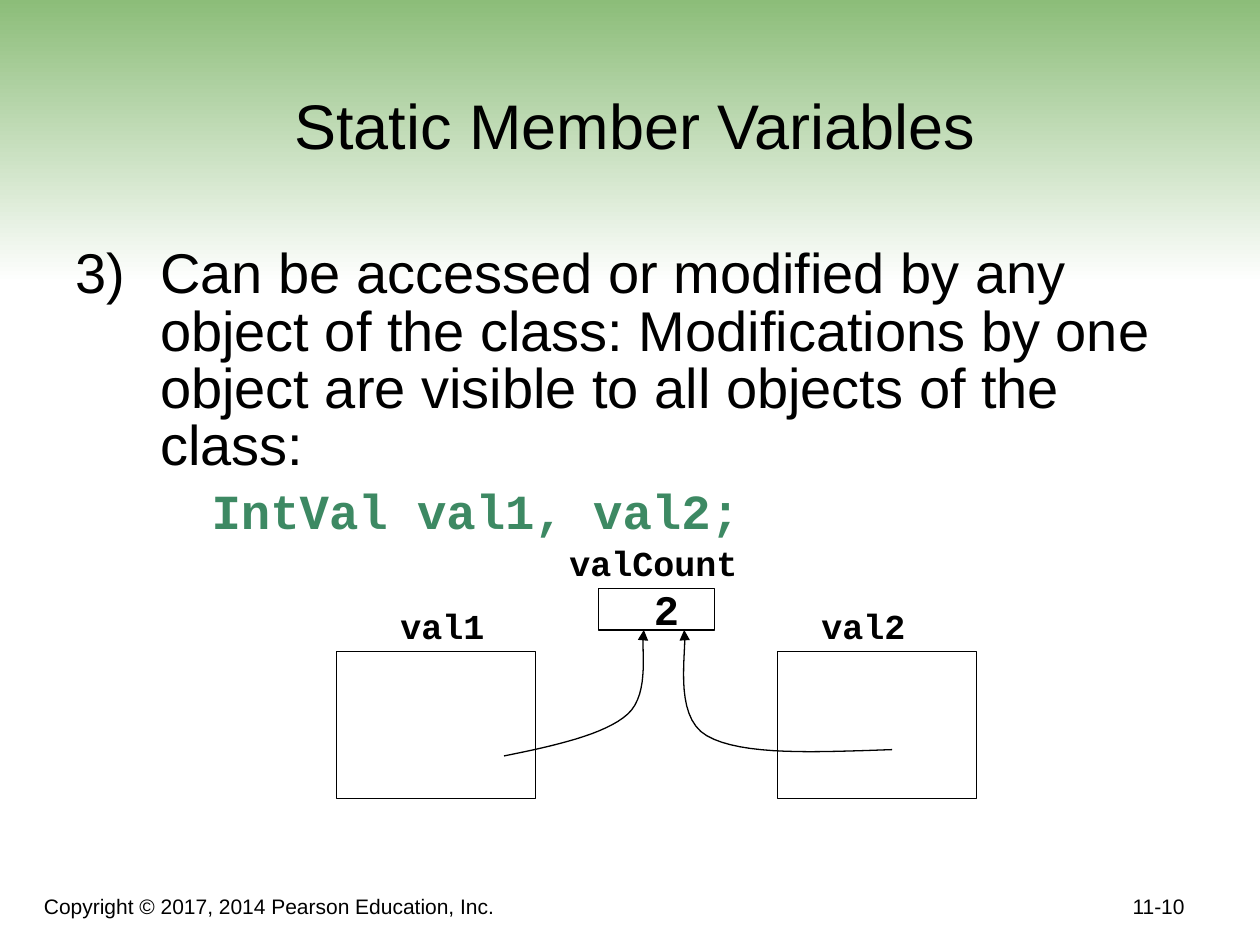
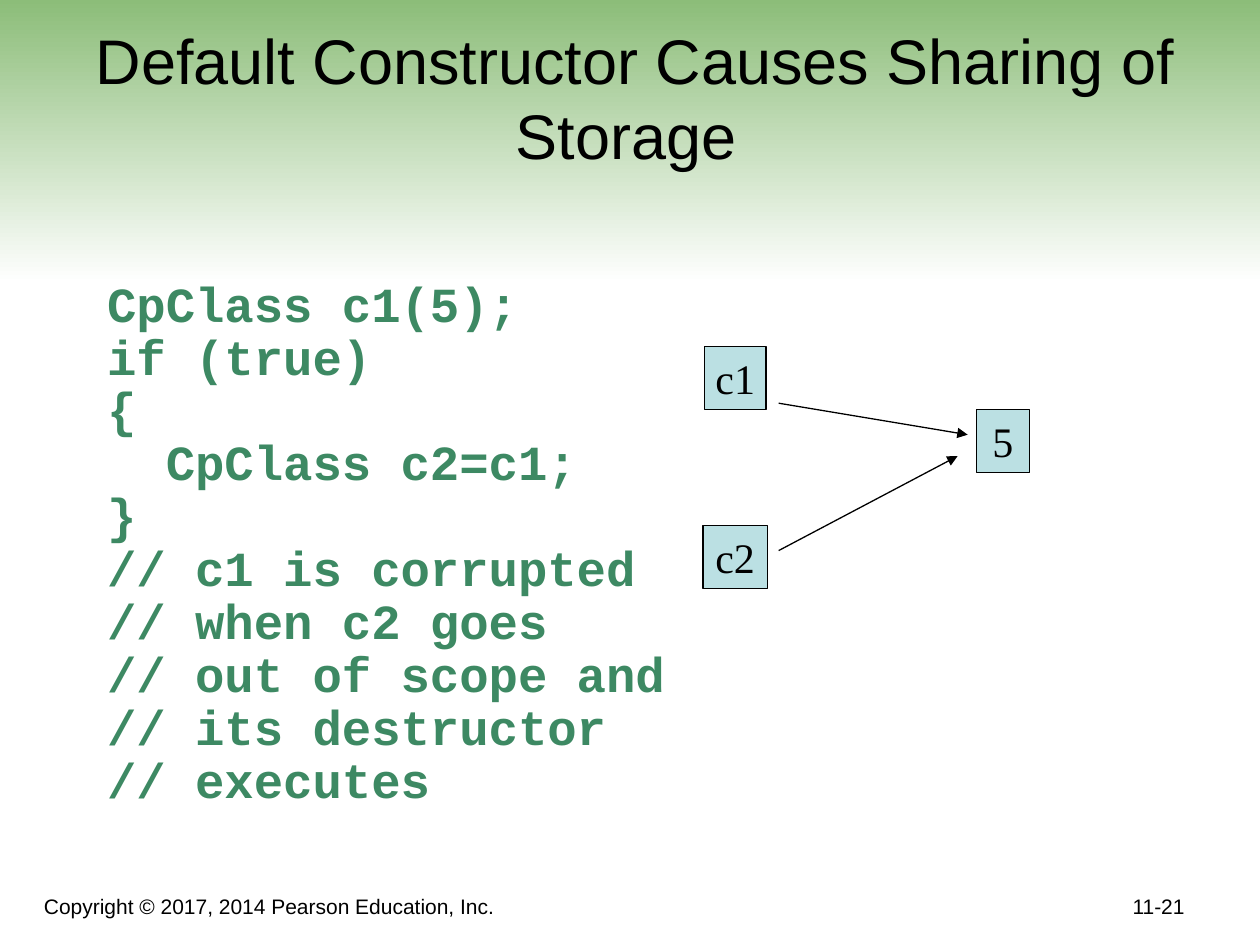
import pptx
import pptx.util
import pptx.dml.color
import pptx.enum.shapes
import pptx.enum.text
import pptx.oxml.ns
import lxml.etree

Inches = pptx.util.Inches
Pt = pptx.util.Pt
ALIGN = pptx.enum.text.PP_ALIGN
ANCHOR = pptx.enum.text.MSO_ANCHOR
RECTANGLE = pptx.enum.shapes.MSO_SHAPE.RECTANGLE

COLORS = {
    "black": "000000",
    "white": "FFFFFF",
    "band": "8CBD79",
    "code": "3D8963",
    "object": "BBE0E3",
}
SANS, MONO, SERIF = "Arial", "Courier New", "Times New Roman"
COPYRIGHT = "Copyright © 2017, 2014 Pearson Education, Inc."
SHARING_CODE = """CpClass c1(5);
if (true)
{
  CpClass c2=c1;
}
// c1 is corrupted
// when c2 goes
// out of scope and
// its destructor
// executes"""


def color(name):
    return pptx.dml.color.RGBColor.from_string(COLORS[name])


def add_xml(parent, tag, **attributes):
    return lxml.etree.SubElement(parent, pptx.oxml.ns.qn(tag), attributes)


def write(frame, text, size=12, font=SANS, ink="black", bold=False, align=ALIGN.LEFT,
          spacing=1.0, before=0, margin=0, indent=0):
    for line in text.split("\n"):
        paragraph = frame.paragraphs[-1]
        if paragraph.runs:
            paragraph = frame.add_paragraph()
        properties = paragraph._p.get_or_add_pPr()
        properties.set("marL", str(Inches(margin)))
        properties.set("indent", str(Inches(indent)))
        add_xml(properties, "a:buNone")
        paragraph.alignment = align
        paragraph.line_spacing = spacing
        paragraph.space_before = Pt(before)
        run = paragraph.add_run()
        run.text = line
        run.font.size = Pt(size)
        run.font.name = font
        run.font.bold = bold
        run.font.color.rgb = color(ink)


def place(shape, left, top, width, height):
    shape.left, shape.top = Inches(left), Inches(top)
    shape.width, shape.height = Inches(width), Inches(height)


def fill_placeholder(holder, box, anchor):
    place(holder, *box)
    frame = holder.text_frame
    frame.word_wrap = True
    frame.auto_size = pptx.enum.text.MSO_AUTO_SIZE.NONE
    frame.vertical_anchor = anchor
    return frame


def add_label(slide, text, box, anchor=ANCHOR.TOP, **style):
    frame = slide.shapes.add_textbox(*map(Inches, box)).text_frame
    frame.word_wrap = True
    frame.vertical_anchor = anchor
    write(frame, text, **style)


def outline(shape):
    shape.line.color.rgb = color("black")
    shape.line.width = Pt(0.75)


def add_arrowhead(shape):
    add_xml(shape.line._get_or_add_ln(), "a:tailEnd", type="triangle")


def add_object_box(slide, box, text="", fill=None, shift=0, **style):
    rectangle = slide.shapes.add_shape(RECTANGLE, *map(Inches, box))
    rectangle.shadow.inherit = False
    outline(rectangle)
    if fill:
        rectangle.fill.solid()
        rectangle.fill.fore_color.rgb = color(fill)
    else:
        rectangle.fill.background()
    if text:
        frame = rectangle.text_frame
        frame.word_wrap = False
        frame.vertical_anchor = ANCHOR.MIDDLE
        frame.margin_left, frame.margin_right = Inches(2 * shift), 0
        write(frame, text, size=24, align=ALIGN.CENTER, **style)


def curve_points(start, segments, steps=16):
    for control_1, control_2, end in segments:
        for step in range(1, steps + 1):
            t = step / steps
            weights = ((1 - t) ** 3, 3 * t * (1 - t) ** 2, 3 * t * t * (1 - t), t ** 3)
            corners = (start, control_1, control_2, end)
            yield tuple(Inches(sum(w * corner[axis] for w, corner in zip(weights, corners)))
                        for axis in (0, 1))
        start = end


def add_curved_arrow(slide, start, segments):
    builder = slide.shapes.build_freeform(Inches(start[0]), Inches(start[1]))
    builder.add_line_segments(list(curve_points(start, segments)), close=False)
    curve = builder.convert_to_shape()
    curve.shadow.inherit = False
    curve.fill.background()
    outline(curve)
    add_arrowhead(curve)


def add_straight_arrow(slide, start, end):
    arrow = slide.shapes.add_connector(
        pptx.enum.shapes.MSO_CONNECTOR.STRAIGHT, *map(Inches, start + end))
    outline(arrow)
    add_arrowhead(arrow)
    add_xml(arrow._element.spPr, "a:effectLst")


def add_band(slide):
    band = slide.shapes.add_shape(RECTANGLE, 0, 0, Inches(10), Inches(2.25))
    band.shadow.inherit = False
    band.line.fill.background()
    band.fill.gradient()
    band.fill.gradient_angle = 270
    for stop, name, position in zip(band.fill.gradient_stops, ("band", "white"), (0, 1)):
        stop.color.rgb = color(name)
        stop.position = position
    slide.shapes._spTree.insert(2, band._element)


def start_slide(deck, title, title_top, number, body_box):
    slide = deck.slides.add_slide(deck.slide_layouts[1])
    add_band(slide)
    heading = fill_placeholder(slide.shapes.title, (0.33, title_top, 9.42, 1.09), ANCHOR.BOTTOM)
    write(heading, title, size=36, align=ALIGN.CENTER)
    add_label(slide, COPYRIGHT, (0.25, 6.92, 6.75, 0.42), anchor=ANCHOR.BOTTOM)
    add_label(slide, number, (7.42, 6.84, 2.08, 0.5), anchor=ANCHOR.BOTTOM, align=ALIGN.RIGHT)
    body = fill_placeholder(slide.placeholders[1], body_box, ANCHOR.TOP)
    body.margin_right = 0
    return slide, body


def build_static_members(deck):
    slide, body = start_slide(deck, "Static Member Variables", 0.25, "11-10",
                              (0.5, 1.92, 8.75, 4.9))
    write(body, "3)\tCan be accessed or modified by any object of the class: "
          "Modifications by one object are visible to all objects of the class:",
          size=32, spacing=0.85, margin=0.67, indent=-0.67)
    write(body, "IntVal val1, val2;", size=28, font=MONO, ink="code", bold=True,
          spacing=0.85, before=7, margin=1.08)

    for left in (2.67, 6.17):
        add_object_box(slide, (left, 5.17, 1.58, 1.17))
    add_object_box(slide, (4.75, 4.67, 0.92, 0.33), "2", shift=0.08, font=MONO, bold=True)
    for name, left, top, width in (("valCount", 4.42, 4.25, 1.7),
                                   ("val1", 3.08, 4.75, 1),
                                   ("val2", 6.42, 4.75, 1)):
        add_label(slide, name, (left, top, width, 0.44), size=20, font=MONO, bold=True)

    add_curved_arrow(slide, (4, 6), [((4.4, 5.92), (4.8, 5.83), (4.98, 5.67)),
                                     ((5.17, 5.5), (5.08, 5.11), (5.11, 5))])
    add_curved_arrow(slide, (7.08, 5.95), [((6.48, 5.97), (5.89, 6), (5.61, 5.84)),
                                           ((5.33, 5.68), (5.46, 5.14), (5.43, 5))])


def build_shared_storage(deck):
    slide, body = start_slide(deck, "Default Constructor Causes Sharing of Storage ", 0.33,
                              "11-21", (0.75, 2.17, 4.58, 4.65))
    write(body, SHARING_CODE, size=28, font=MONO, ink="code", bold=True, spacing=0.9)

    for name, left, top, width in (("c1", 5.59, 2.75, 0.49),
                                   ("c2", 5.58, 4.17, 0.51),
                                   ("5", 7.75, 3.25, 0.42)):
        add_object_box(slide, (left, top, width, 0.5), name, fill="object", font=SERIF)
    add_straight_arrow(slide, (6.18, 3.2), (7.68, 3.45))
    add_straight_arrow(slide, (6.18, 4.37), (7.6, 3.62))


def main():
    deck = pptx.Presentation()
    deck.slide_width, deck.slide_height = Inches(10), Inches(7.5)
    build_static_members(deck)
    build_shared_storage(deck)
    deck.save("out.pptx")


if __name__ == "__main__":
    main()
